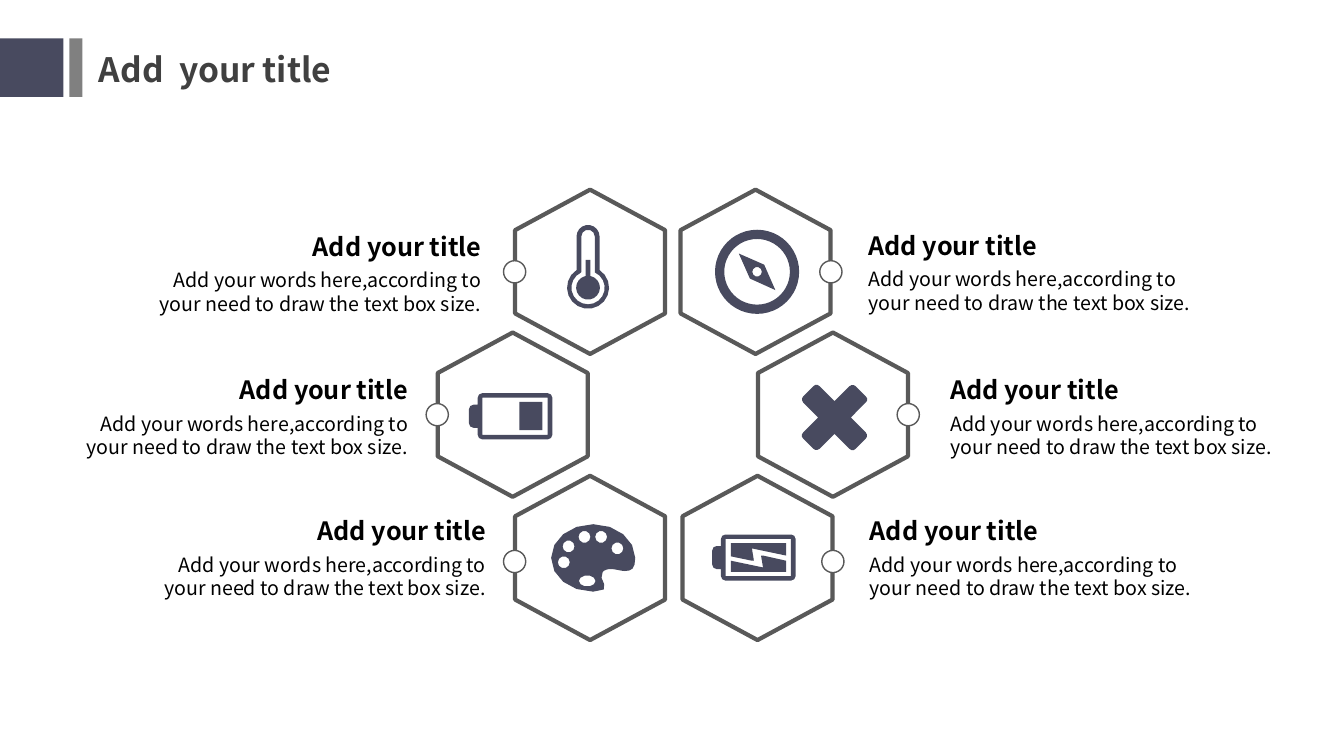
from math import cos, radians, sin

from pptx import Presentation
from pptx.dml.color import RGBColor
from pptx.enum.shapes import MSO_SHAPE as Preset
from pptx.enum.text import MSO_ANCHOR as Anchor, MSO_AUTO_SIZE as AutoSize, PP_ALIGN as Align
from pptx.util import Cm, Pt

NAVY, GREY, DARK = "484A5F", "808080", "595959"
WORDS = "Add your words here,according to your need to draw the text box size."


def colour(code):
    return RGBColor.from_string(code)


def arc(x, y, radius, start=0, end=360, height=None):
    steps = max(2, round((end - start) / (20 if radius > 0.25 else 36)))
    angles = [radians(start + (end - start) * step / steps) for step in range(steps + 1)]
    return [(x + radius * cos(a), y + (height or radius) * sin(a)) for a in angles]


def curve(start, *segments, steps=4):
    points = [start]
    for one, two, end in segments:
        corners = (points[-1], one, two, end)
        for step in range(1, steps + 1):
            t = step / steps
            weights = ((1 - t) ** 3, 3 * t * (1 - t) ** 2, 3 * t * t * (1 - t), t ** 3)
            points.append(tuple(sum(w * c[axis] for w, c in zip(weights, corners)) for axis in (0, 1)))
    return points


def write(frame, text, size=14, bold=False, code="000000", font="Noto Sans CJK SC", align=Align.LEFT):
    frame.word_wrap = True
    frame.auto_size = AutoSize.NONE
    frame.vertical_anchor = Anchor.TOP
    para = frame.paragraphs[0]
    para.alignment = align
    para.line_spacing = Pt(round(size * 1.2))
    span = para.add_run()
    span.text = text
    span.font.size, span.font.bold, span.font.name = Pt(size), bold, font
    span.font.color.rgb = colour(code)


class Page:
    def __init__(self, deck):
        self.slide = deck.slides.add_slide(deck.slide_layouts[5])
        self.shapes = self.slide.shapes

    def paint(self, shape, fill=None, line=None, weight=1):
        shape.shadow.inherit = False
        if fill:
            shape.fill.solid()
            shape.fill.fore_color.rgb = colour(fill)
        else:
            shape.fill.background()
        if line:
            shape.line.color.rgb = colour(line)
            shape.line.width = Pt(weight)
        else:
            shape.line.fill.background()
        return shape

    def title(self, text, left, top, width, height):
        box = self.shapes.title
        box.left, box.top, box.width, box.height = map(Cm, (left, top, width, height))
        write(box.text_frame, text, size=24, bold=True, code="404040")

    def text(self, text, left, top, width, height, **style):
        box = self.shapes.add_textbox(*map(Cm, (left, top, width, height)))
        write(box.text_frame, text, **style)

    def shape(self, preset, left, top, width, height, **style):
        shape = self.shapes.add_shape(preset, *map(Cm, (left, top, width, height)))
        return self.paint(shape, **style)

    def hexagon(self, x, y, width=4.14, height=3.78):
        shape = self.shape(Preset.HEXAGON, x - width / 2, y - height / 2, width, height, line=DARK, weight=3)
        shape.adjustments[0] = 0.27
        shape.rotation = 90

    def node(self, x, y, size=0.56):
        self.shape(Preset.OVAL, x - size / 2, y - size / 2, size, size, fill="FFFFFF", line=DARK)

    def outline(self, x, y, *contours):
        builder = None
        for contour in contours:
            points = [(Cm(x + dx), Cm(y + dy)) for dx, dy in contour]
            if builder is None:
                builder = self.shapes.build_freeform(*points[0])
            else:
                builder.move_to(*points[0])
            builder.add_line_segments(points[1:], close=True)
        self.paint(builder.convert_to_shape(), fill=NAVY)

    def thermometer(self, x, y):
        def bulb(radius, angle):
            return arc(0, 0, radius, -angle, 180 + angle)

        def tube(radius):
            return arc(0, -1.29, radius, 180, 360)

        self.outline(x, y, tube(0.29) + bulb(0.53, 57), tube(0.17) + bulb(0.42, 66))
        self.outline(x, y, [(-0.06, -0.7), (0.06, -0.7)] + bulb(0.3, 78))

    def compass(self, x, y):
        needle = [(-0.46, -0.46), (0.18, -0.18), (0.46, 0.46), (-0.18, 0.17)]
        self.outline(x, y, needle, arc(0, 0, 0.12))
        ring = self.shape(Preset.DONUT, x - 1.06, y - 1.06, 2.12, 2.12, fill=NAVY)
        ring.adjustments[0] = 0.11

    def battery(self, x, y):
        corners = [(-0.72, -0.47), (0.94, -0.47), (0.94, 0.47), (-0.72, 0.47)]
        case = []
        for turn, (left, top) in enumerate(corners, start=2):
            case += arc(left, top, 0.11, turn * 90, turn * 90 + 90)
        cap = arc(-0.94, 0.18, 0.11, 90, 180) + arc(-0.94, -0.18, 0.11, 180, 270)
        case += [(-0.83, 0.29)] + cap + [(-0.83, -0.29)]
        self.outline(x, y, case, [(-0.71, -0.47), (0.93, -0.47), (0.93, 0.47), (-0.71, 0.47)])

    def charge(self, x, y):
        self.battery(x, y)
        self.outline(x, y, [(-0.58, 0.08), (0.23, 0.25), (0.18, -0.05), (0.23, -0.05),
                            (0.81, 0.08), (0.81, 0.36), (-0.58, 0.36)])
        self.outline(x, y, [(0, 0.08), (-0.05, 0.08), (-0.58, -0.03), (-0.58, -0.36),
                            (0.81, -0.36), (0.81, -0.05), (-0.05, -0.23)])

    def cross(self, x, y):
        arm = [(0, -0.41)]
        arm += curve((0.38, -0.79), ((0.43, -0.83), (0.48, -0.83), (0.53, -0.79)), steps=3)
        arm += curve((0.79, -0.53), ((0.84, -0.48), (0.84, -0.43), (0.79, -0.38)), steps=3)
        contour = []
        for turn in range(4):
            contour += arm
            arm = [(-dy, dx) for dx, dy in arm]
        self.outline(x, y, contour)

    def palette(self, x, y):
        board = curve(
            (0, -0.85),
            ((0.6, -0.85), (1.06, -0.46), (1.06, 0)),
            ((1.06, 0.28), (0.96, 0.33), (0.8, 0.33)),
            ((0.7, 0.33), (0.57, 0.28), (0.44, 0.28)),
            ((0.37, 0.28), (0.29, 0.3), (0.24, 0.35)),
            ((0.06, 0.52), (0.6, 0.85), (0, 0.85)),
            ((-0.6, 0.85), (-1.06, 0.47), (-1.06, 0)),
            ((-1.06, -0.46), (-0.6, -0.85), (0, -0.85)))
        dabs = [(0.61, -0.24), (0.2, -0.53), (-0.22, -0.53), (-0.62, -0.29), (-0.74, 0.11)]
        holes = [arc(dx, dy, 0.15) for dx, dy in dabs]
        self.outline(x, y, board, *holes, arc(-0.15, 0.58, 0.21, height=0.14))

    def caption(self, edge, top, side):
        align = Align.LEFT if side > 0 else Align.RIGHT
        for text, drop, width, height, size in ((WORDS, 0.94, 9.2, 1.45, 14),
                                                ("Add your title", 0, 5.6, 1.02, 18)):
            left = edge if side > 0 else edge - width
            self.text(text, left, top + drop, width, height, size=size, bold=size == 18, align=align)


def main():
    deck = Presentation()
    deck.slide_width, deck.slide_height = Cm(33.87), Cm(19.05)
    page = Page(deck)
    page.shape(Preset.RECTANGLE, 0, 0.97, 1.6, 1.47, fill=NAVY)
    page.shape(Preset.RECTANGLE, 1.75, 0.97, 0.33, 1.47, fill=GREY)
    page.title("Add  your title", 2.24, 1.09, 8.74, 1.27)

    rows = [6.85, 10.45, 14.06]
    cells = [
        (14.87, 0, -1, 12.38, 5.69, page.thermometer, 14.82, 7.25),
        (19.04, 0, 1, 21.64, 5.66, page.compass, 19.08, 6.85),
        (12.92, 1, -1, 10.54, 9.3, page.battery, 12.87, 10.49),
        (20.99, 1, 1, 23.7, 9.3, page.cross, 21.03, 10.52),
        (14.87, 2, -1, 12.5, 12.85, page.palette, 14.95, 14.06),
        (19.09, 2, 1, 21.67, 12.85, page.charge, 19, 14.05),
    ]
    for x, row, side, edge, top, icon, icon_x, icon_y in cells:
        page.hexagon(x, rows[row])
        page.node(x + side * 1.9, rows[row] + (0.09 if row == 2 else 0))
        page.caption(edge, top, side)
        icon(icon_x, icon_y)
    page.shape(Preset.RECTANGLE, 13.09, 10.13, 0.58, 0.71, fill=NAVY)
    deck.save("out.pptx")


if __name__ == "__main__":
    main()
